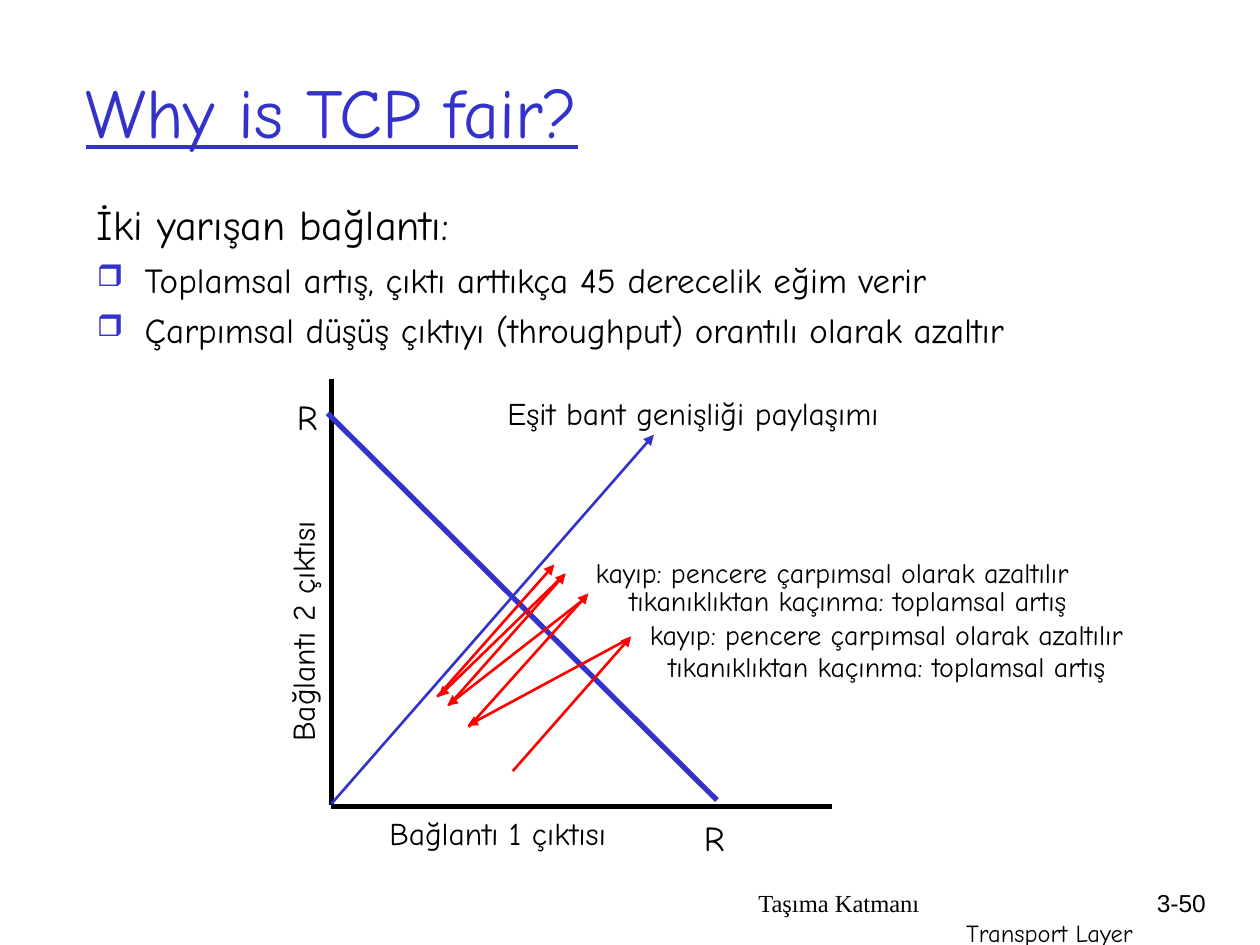
from pptx import Presentation
from pptx.dml.color import RGBColor
from pptx.enum.shapes import MSO_CONNECTOR
from pptx.enum.text import MSO_ANCHOR, MSO_AUTO_SIZE, PP_ALIGN
from pptx.oxml.ns import qn
from pptx.util import Inches, Pt
from lxml.etree import SubElement

BLACK, BLUE, RED = "000000", "3333CC", "FF0000"
COMIC = "Comic Neue"

prs = Presentation()
prs.slide_width, prs.slide_height = Inches(10), Inches(7.5)
slide = prs.slides.add_slide(prs.slide_layouts[5])


def write(frame, lines, align=PP_ALIGN.CENTER, wrap=True, color=BLACK):
    frame.word_wrap = wrap
    frame.auto_size = MSO_AUTO_SIZE.NONE
    for i, (text, size, face) in enumerate(lines):
        paragraph = frame.add_paragraph() if i else frame.paragraphs[0]
        paragraph.text = text
        paragraph.alignment = align
        font = paragraph.runs[0].font
        font.size, font.name = Pt(size), face
        font.color.rgb = RGBColor.from_string(color)
    return frame.paragraphs


def draw_line(start, end, color, width, arrow=False):
    line = slide.shapes.add_connector(
        MSO_CONNECTOR.STRAIGHT, *[Inches(v) for v in (*start, *end)])
    line.line.color.rgb = RGBColor.from_string(color)
    line.line.width = Pt(width)
    if arrow:
        SubElement(line.line._get_or_add_ln(), qn("a:tailEnd"), type="triangle")
    SubElement(line._element.spPr, qn("a:effectLst"))


title = slide.shapes.title
title.left, title.top = Inches(0.58), Inches(0.25)
title.width, title.height = Inches(8.5), Inches(1.25)
title.text_frame.vertical_anchor = MSO_ANCHOR.MIDDLE
heading = write(title.text_frame, [("Why is TCP fair?", 40, COMIC)],
                PP_ALIGN.LEFT, color=BLUE)
heading[0].runs[0].font.underline = True

body = slide.shapes.add_textbox(Inches(0.67), Inches(1.53), Inches(9.08), Inches(1.4))
intro, *points = write(body.text_frame, [
    ("İki yarışan bağlantı:", 24, COMIC),
    ("Toplamsal artış, çıktı arttıkça 45 derecelik eğim verir", 20, COMIC),
    ("Çarpımsal düşüş çıktıyı (throughput) orantılı olarak azaltır", 20, COMIC),
], PP_ALIGN.LEFT)
for point in points:
    point.space_before = Pt(5)
    props = point._p.get_or_add_pPr()
    props.set("marL", str(Inches(0.38)))
    props.set("indent", str(-Inches(0.38)))
    SubElement(SubElement(props, qn("a:buClr")), qn("a:srgbClr"), val=BLUE)
    SubElement(props, qn("a:buSzPct"), val="85000")
    SubElement(props, qn("a:buChar"), char="❒")

draw_line((2.63, 6.4), (6.6, 6.4), BLACK, 3)
draw_line((2.63, 6.39), (2.63, 3.01), BLACK, 3)
draw_line((2.63, 6.38), (5.19, 3.45), BLUE, 1.5, arrow=True)
draw_line((2.6, 3.28), (5.69, 6.35), BLUE, 3)

window_steps = [
    ((4.07, 6.12), (5.01, 5.05)),
    ((4.99, 5.07), (3.71, 5.76)),
    ((3.72, 5.77), (4.67, 4.71)),
    ((4.63, 4.76), (3.55, 5.6)),
    ((3.56, 5.6), (4.49, 4.55)),
    ((4.48, 4.56), (3.48, 5.53)),
    ((3.47, 5.53), (4.4, 4.48)),
]
for start, end in window_steps:
    draw_line(start, end, RED, 1.5, arrow=True)

loss = "kayıp: pencere çarpımsal olarak azaltılır"
avoidance = "tıkanıklıktan kaçınma: toplamsal artış"
labels = [
    ("R", 20, 2.22, 3.09, 0.44, 0.44, 0, True),
    ("R", 20, 5.45, 6.43, 0.44, 0.44, 0, True),
    ("Eşit bant genişliği paylaşımı", 18, 3.56, 3.08, 3.88, 0.4, 0, True),
    ("Bağlantı 1 çıktısı", 18, 2.01, 6.41, 3.88, 0.4, 0, True),
    ("Bağlantı 2 çıktısı", 18, 0.46, 4.81, 3.88, 0.4, 270, True),
    (avoidance, 16, 4.56, 5.11, 4.96, 0.37, 0, True),
    (loss, 16, 5.05, 4.85, 3.97, 0.37, 0, False),
    (avoidance, 16, 4.25, 4.58, 4.96, 0.37, 0, True),
    (loss, 16, 4.62, 4.36, 3.97, 0.37, 0, False),
]
for text, size, left, top, width, height, angle, wrap in labels:
    label = slide.shapes.add_textbox(
        Inches(left), Inches(top), Inches(width), Inches(height))
    label.rotation = angle
    write(label.text_frame, [(text, size, COMIC)], wrap=wrap)

footer = slide.shapes.add_textbox(Inches(5.92), Inches(7), Inches(3.17), Inches(0.5))
chapter, layer = write(footer.text_frame, [
    ("Taşıma Katmanı", 14, "Times New Roman"),
    ("Transport Layer", 14, COMIC),
], PP_ALIGN.RIGHT)
chapter.alignment = PP_ALIGN.LEFT

page = slide.shapes.add_textbox(Inches(8.93), Inches(7), Inches(0.74), Inches(0.5))
write(page.text_frame, [("3-50", 14, "Arial")], PP_ALIGN.RIGHT)

prs.save("out.pptx")
